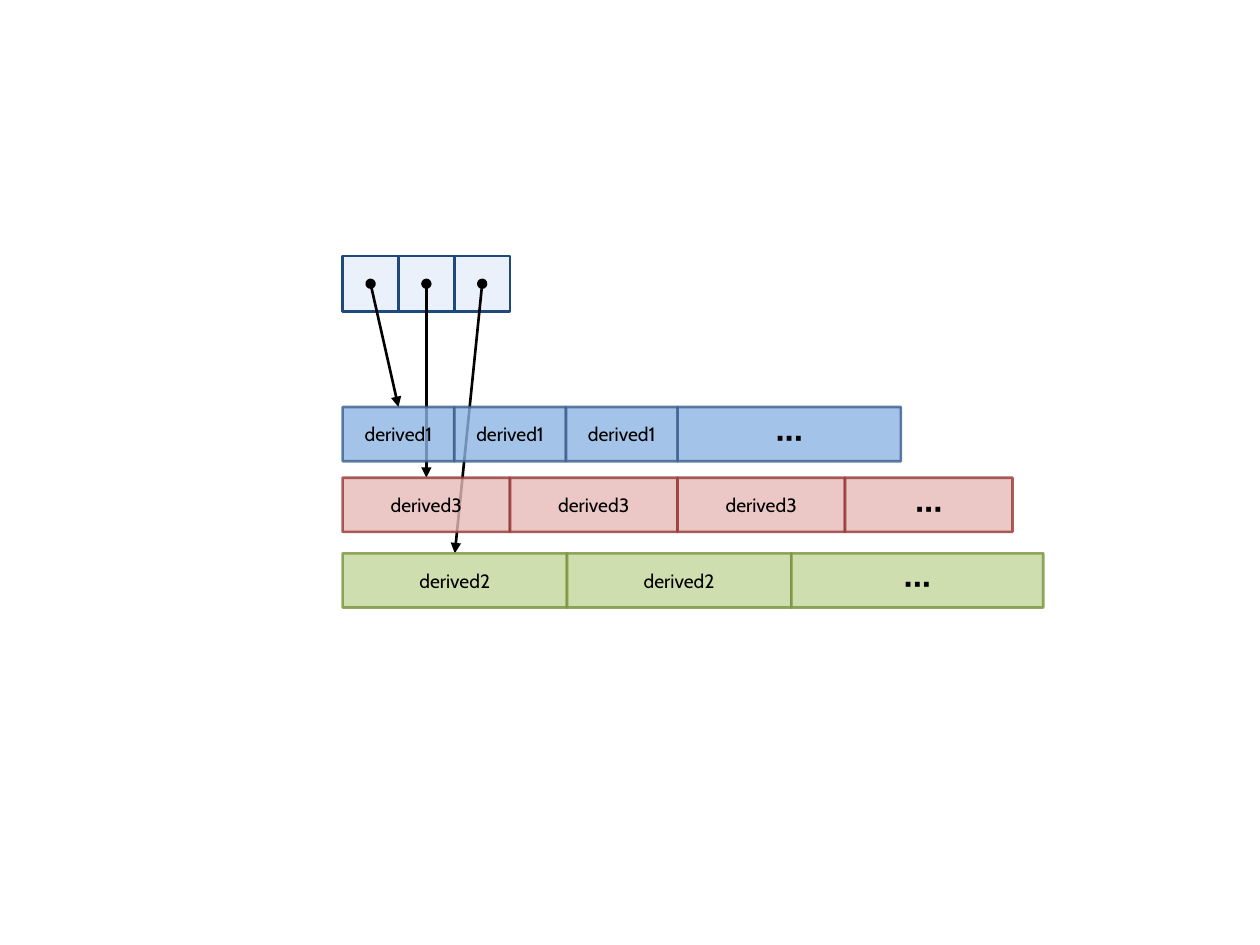
"""Build a slide of three pointers, each leading to an array of derived objects."""
from lxml import etree
from pptx import Presentation
from pptx.dml.color import RGBColor
from pptx.enum.shapes import MSO_CONNECTOR, MSO_SHAPE
from pptx.enum.text import MSO_ANCHOR, PP_ALIGN
from pptx.oxml.ns import qn
from pptx.util import Pt

RECTANGLE = MSO_SHAPE.RECTANGLE
STRAIGHT = MSO_CONNECTOR.STRAIGHT
MIDDLE = MSO_ANCHOR.MIDDLE
CENTER = PP_ALIGN.CENTER

BLACK = RGBColor(0x00, 0x00, 0x00)
POINTER_FILL = RGBColor(0xEA, 0xF1, 0xFA)
POINTER_LINE = RGBColor(0x1F, 0x49, 0x7D)
BLUE_FILL = RGBColor(0x8E, 0xB4, 0xE3)
BLUE_LINE = RGBColor(0x3A, 0x5F, 0x8C)
RED_FILL = RGBColor(0xE6, 0xB9, 0xB8)
RED_LINE = RGBColor(0x95, 0x37, 0x35)
GREEN_FILL = RGBColor(0xC3, 0xD6, 0x9B)
GREEN_LINE = RGBColor(0x77, 0x93, 0x3C)

LEFT = 195.8
CELL = 31.9
POINTER_TOP = 146.2
ROW_HEIGHT = 31
LINE_WIDTH = 1.5
OPACITY = 80
DOTS = "···"

FRAME_FORMAT = {
    "margin_left": 0, "margin_right": 0, "margin_top": 0, "margin_bottom": 0,
    "vertical_anchor": MIDDLE, "word_wrap": True,
}
FONT_FORMAT = {"name": "Cabin", "bold": False}

ARRAYS = [
    {"label": "derived1", "count": 3, "top": 232.6, "width": 2 * CELL,
     "rest": 4 * CELL, "fill": BLUE_FILL, "line": BLUE_LINE},
    {"label": "derived3", "count": 3, "top": 273, "width": 3 * CELL,
     "rest": 3 * CELL, "fill": RED_FILL, "line": RED_LINE},
    {"label": "derived2", "count": 2, "top": 316.2, "width": 128.2,
     "rest": 144, "fill": GREEN_FILL, "line": GREEN_LINE},
]


def set_values(target, values):
    """Set each named attribute of the target."""
    for name, value in values.items():
        setattr(target, name, value)


def set_opacity(box, percent):
    """Make the fill and the outline of a box partly transparent."""
    for color in box._element.spPr.iter(qn("a:srgbClr")):
        etree.SubElement(color, qn("a:alpha"), val=str(percent * 1000))


def add_box(page, left, top, width, height, fill, line):
    """Add a plain outlined rectangle."""
    box = page.shapes.add_shape(RECTANGLE, Pt(left), Pt(top), Pt(width), Pt(height))
    box.shadow.inherit = False
    box.fill.solid()
    box.fill.fore_color.rgb = fill
    box.line.color.rgb = line
    box.line.width = Pt(LINE_WIDTH)
    return box


def add_label(box, text, size):
    """Write centred text into a box."""
    set_values(box.text_frame, FRAME_FORMAT)
    para = box.text_frame.paragraphs[0]
    para.alignment = CENTER
    span = para.add_run()
    span.text = text
    set_values(span.font, {**FONT_FORMAT, "size": Pt(size)})
    span.font.color.rgb = BLACK


def add_arrow(page, start, end):
    """Add an arrow that begins with a dot."""
    arrow = page.shapes.add_connector(STRAIGHT, *map(Pt, start + end))
    arrow.line.color.rgb = BLACK
    arrow.line.width = Pt(LINE_WIDTH)
    outline = arrow.line._get_or_add_ln()
    etree.SubElement(outline, qn("a:headEnd"), type="oval")
    etree.SubElement(outline, qn("a:tailEnd"), type="triangle")
    etree.SubElement(arrow._element.spPr, qn("a:effectLst"))


def add_array(page, array):
    """Add a row of equal elements, closed by a box of dots."""
    cells = [(array["label"], 11, array["width"])] * array["count"]
    cells.append((DOTS, 22, array["rest"]))
    left = LEFT
    for text, size, width in cells:
        box = add_box(page, left, array["top"], width, ROW_HEIGHT,
                      array["fill"], array["line"])
        set_opacity(box, OPACITY)
        add_label(box, text, size)
        left += width


def main():
    """Build and save the deck."""
    deck = Presentation()
    deck.slide_width, deck.slide_height = Pt(720), Pt(540)
    page = deck.slides.add_slide(deck.slide_layouts[6])
    for index in range(len(ARRAYS)):
        add_box(page, LEFT + index * CELL, POINTER_TOP, CELL, CELL,
                POINTER_FILL, POINTER_LINE)
    for index, array in enumerate(ARRAYS):
        start = (LEFT + (index + 0.5) * CELL, POINTER_TOP + CELL / 2)
        add_arrow(page, start, (LEFT + array["width"] / 2, array["top"]))
    for array in ARRAYS:
        add_array(page, array)
    deck.save("out.pptx")


main()
